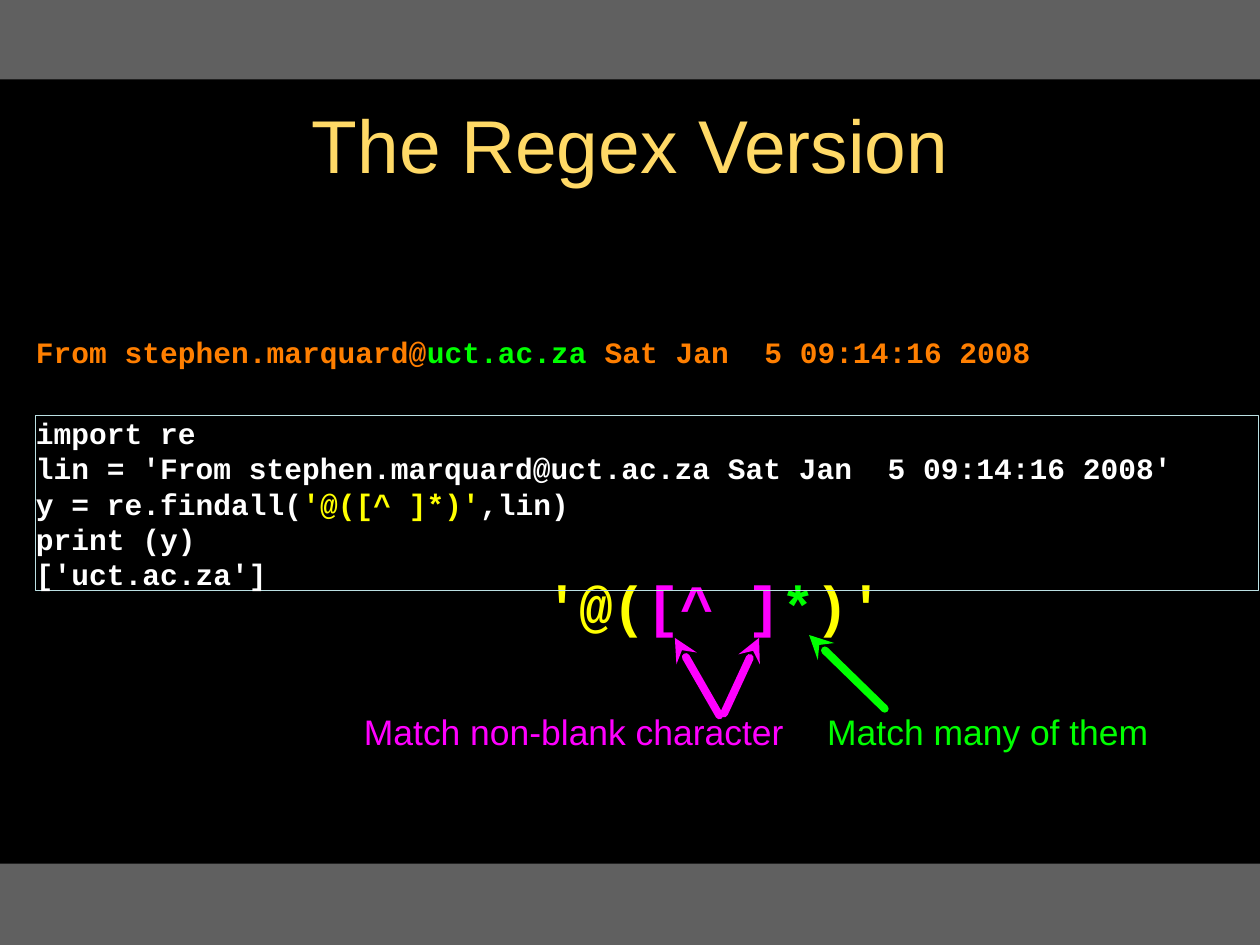
from dataclasses import dataclass

from lxml import etree
from pptx import Presentation
from pptx.dml.color import RGBColor
from pptx.enum.shapes import MSO_CONNECTOR, MSO_SHAPE
from pptx.enum.text import MSO_ANCHOR, PP_ALIGN
from pptx.oxml.ns import qn
from pptx.util import Inches, Pt

RECTANGLE = MSO_SHAPE.RECTANGLE
STRAIGHT = MSO_CONNECTOR.STRAIGHT
MIDDLE = MSO_ANCHOR.MIDDLE
LEFT = PP_ALIGN.LEFT
CENTER = PP_ALIGN.CENTER


@dataclass(frozen=True)
class Theme:
    background: str = "000000"
    band: str = "606060"
    title: str = "FFD966"
    white: str = "FFFFFF"
    orange: str = "FF7F00"
    yellow: str = "FFFF00"
    magenta: str = "FF00FF"
    green: str = "00FF00"
    border: str = "BBE0E3"
    sans: str = "Arial"
    mono: str = "Courier New"
    title_size: float = 57
    pattern_size: float = 42.8
    label_size: float = 27
    code_size: float = 22.5
    arrow_width: float = 6
    border_width: float = 0.75


THEME = Theme()
WIDTH, HEIGHT = 13.33, 10


def rgb(value):
    return RGBColor.from_string(value)


def write_text(shape, paragraphs, *, font, size, bold=False, align=LEFT, inset=0):
    frame = shape.text_frame
    frame.word_wrap = True
    frame.vertical_anchor = MIDDLE
    frame.margin_left = frame.margin_right = Inches(inset)
    frame.margin_top = frame.margin_bottom = Inches(inset)
    for index, spans in enumerate(paragraphs):
        para = frame.add_paragraph() if index else frame.paragraphs[0]
        para.alignment = align
        for text, color in spans:
            span = para.add_run()
            span.text = text
            span.font.name = font
            span.font.size = Pt(size)
            span.font.bold = bold
            span.font.color.rgb = rgb(color)


def add_text(page, area, paragraphs, **text_format):
    box = page.shapes.add_textbox(*map(Inches, area))
    write_text(box, paragraphs, **text_format)


def add_rectangle(page, area, *, fill=None, line=None):
    box = page.shapes.add_shape(RECTANGLE, *map(Inches, area))
    box.shadow.inherit = False
    if fill:
        box.fill.solid()
        box.fill.fore_color.rgb = rgb(fill)
    else:
        box.fill.background()
    if line:
        box.line.color.rgb = rgb(line)
        box.line.width = Pt(THEME.border_width)
    else:
        box.line.fill.background()
    return box


def add_arrow(page, tip, tail, color):
    arrow = page.shapes.add_connector(STRAIGHT, *map(Inches, (*tip, *tail)))
    arrow.line.color.rgb = rgb(color)
    arrow.line.width = Pt(THEME.arrow_width)
    outline = arrow.line._get_or_add_ln()
    outline.set("cap", "rnd")
    etree.SubElement(outline, qn("a:round"))
    etree.SubElement(outline, qn("a:headEnd"), type="stealth")
    etree.SubElement(arrow._element.spPr, qn("a:effectLst"))


def main():
    deck = Presentation()
    deck.slide_width, deck.slide_height = Inches(WIDTH), Inches(HEIGHT)
    page = deck.slides.add_slide(deck.slide_layouts[6])
    page.background.fill.solid()
    page.background.fill.fore_color.rgb = rgb(THEME.background)

    for top, height in ((0, 0.84), (9.14, 0.86)):
        add_rectangle(page, (0, top, WIDTH, height), fill=THEME.band)

    add_text(page, (0.95, 0.26, 11.43, 2.51), [[("The Regex Version", THEME.title)]],
             font=THEME.sans, size=THEME.title_size, align=CENTER, inset=0.03)

    pattern = [("'@(", THEME.yellow), ("[^ ]", THEME.magenta),
               ("*", THEME.green), (")'", THEME.yellow)]
    add_text(page, (5.77, 6.03, 3.6, 0.72), [pattern],
             font=THEME.mono, size=THEME.pattern_size, bold=True)

    for left, width, label, color in (
        (3.56, 5.02, "Match non-blank character", THEME.magenta),
        (8.43, 4.04, "Match many of them", THEME.green),
    ):
        add_text(page, (left, 7.48, width, 0.51), [[(label, color)]],
                 font=THEME.sans, size=THEME.label_size, align=CENTER)

    for tip, tail, color in (
        ((7.14, 6.75), (7.61, 7.57), THEME.magenta),
        ((8.56, 6.72), (9.36, 7.5), THEME.green),
        ((8.03, 6.75), (7.66, 7.55), THEME.magenta),
    ):
        add_arrow(page, tip, tail, color)

    mail_line = [("From stephen.marquard@", THEME.orange), ("uct.ac.za", THEME.green),
                 (" Sat Jan  5 09:14:16 2008", THEME.orange)]
    add_text(page, (0.38, 3.45, 12.7, 0.55), [mail_line],
             font=THEME.mono, size=THEME.code_size, bold=True)

    code = [
        [("import re", THEME.white)],
        [("lin = 'From stephen.marquard@uct.ac.za Sat Jan  5 09:14:16 2008'", THEME.white)],
        [("y = re.findall(", THEME.white), ("'@([^ ]*)'", THEME.yellow),
         (",lin)", THEME.white)],
        [("print (y)", THEME.white)],
        [("['uct.ac.za']", THEME.white)],
    ]
    code_box = add_rectangle(page, (0.38, 4.4, 12.93, 1.85), line=THEME.border)
    write_text(code_box, code, font=THEME.mono, size=THEME.code_size, bold=True)

    deck.save("out.pptx")


main()
